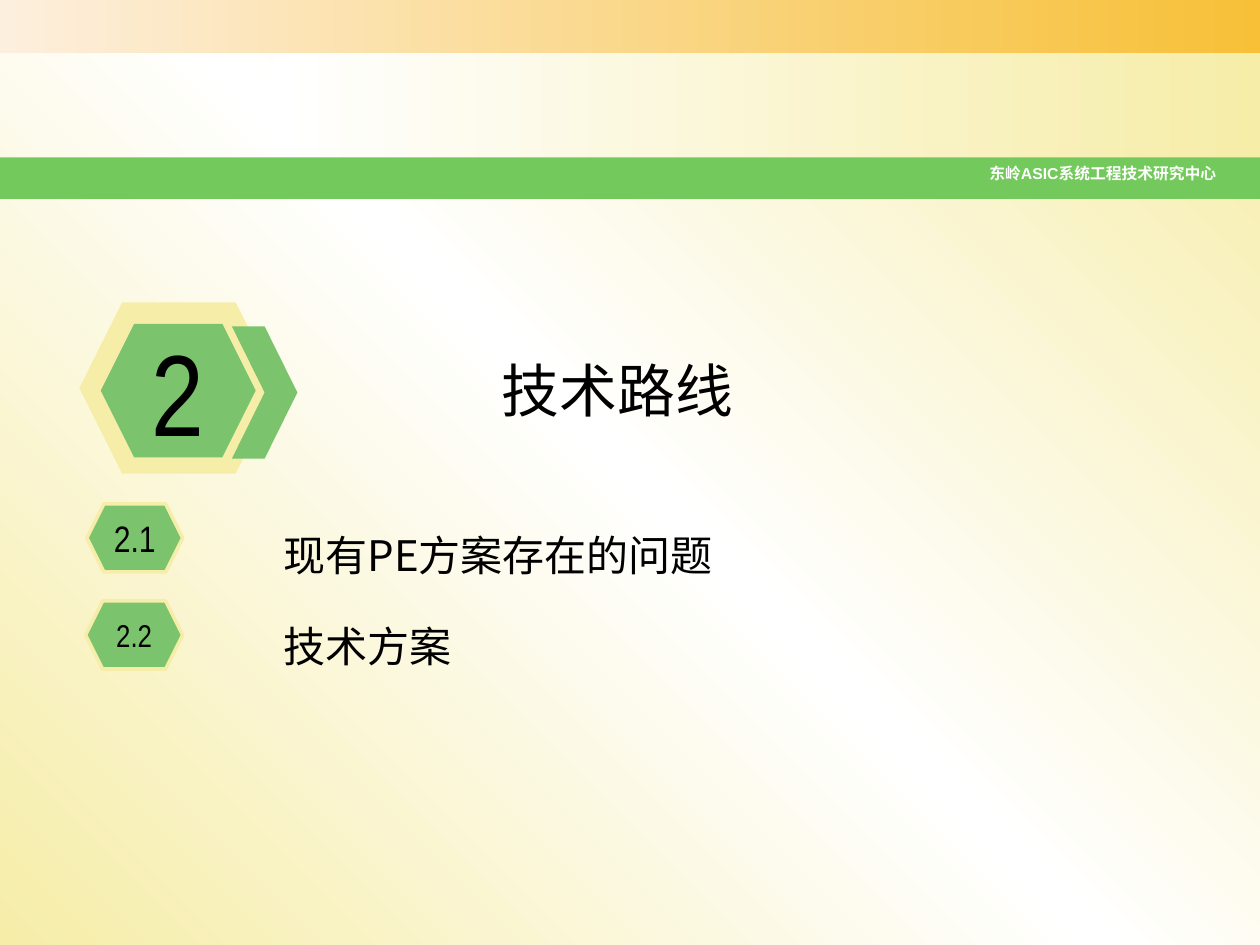
"""Build the section slide for the technical route."""
from copy import deepcopy
from pptx import Presentation
from pptx.dml.color import RGBColor
from pptx.enum import shapes, text
from pptx.oxml.ns import qn
from pptx.util import Inches, Pt

HUE = {"cream": "F6EDA8", "white": "FFFFFF", "peach": "FDEFDD", "gold": "F7C037",
       "band": "73C95B", "leaf": "7BC46D", "ink": "000000"}
CJK, SLIM = "Noto Sans CJK SC", "Arial Narrow"
KIND = shapes.MSO_SHAPE
ORG = "东岭ASIC系统工程技术研究中心"
HEAD = "技术路线"
ITEMS = ["现有PE方案存在的问题", "技术方案"]
BANDS = [((0, 0, 10, 0.42), ["peach", "gold"]),
         ((2.17, 0.42, 7.83, 0.83), ["white", "cream"]),
         ((0, 1.25, 10, 0.33), ["band"])]
BADGES = [(KIND.HEXAGON, (0.63, 2.4, 1.58, 1.36), "cream", "", 0, 0),
          (KIND.HEXAGON, (0.8, 2.57, 1.23, 1.06), "leaf", "2", 66, 0),
          (KIND.HEXAGON, (0.69, 4, 0.76, 0.54), "leaf", "2.1", 21, 2),
          (KIND.HEXAGON, (0.68, 4.77, 0.77, 0.54), "leaf", "2.2", 18, 2),
          (KIND.CHEVRON, (1.84, 2.59, 0.52, 1.05), "leaf", "", 0, 0)]


def rgb(name):
    return RGBColor.from_string(HUE[name])


def paint(fill, names, angle=0):
    if len(names) == 1:
        fill.solid()
        fill.fore_color.rgb = rgb(names[0])
        return
    fill.gradient()
    fill.gradient_angle = angle
    for _ in names[2:]:
        last = fill.gradient_stops[-1]._gs
        last.addnext(deepcopy(last))
    for i, (stop, name) in enumerate(zip(fill.gradient_stops, names)):
        stop.position = i / (len(names) - 1)
        stop.color.rgb = rgb(name)


def put(shape, box):
    shape.left, shape.top, shape.width, shape.height = map(Inches, box)


def draw(slide, kind, box, names, line=0):
    shape = slide.shapes.add_shape(kind, *map(Inches, box))
    shape.shadow.inherit = False
    paint(shape.fill, names)
    if line:
        shape.line.color.rgb = rgb("cream")
        shape.line.width = Pt(line)
    else:
        shape.line.fill.background()
    return shape


def write(shape, *lines, size=18, font=CJK, color="ink", bold=False, align="LEFT",
          anchor="TOP", wrap=True, space=None, before=0):
    frame = shape.text_frame
    frame.word_wrap = wrap
    frame.auto_size = text.MSO_AUTO_SIZE.NONE
    frame.vertical_anchor = getattr(text.MSO_ANCHOR, anchor)
    frame.text = "\n".join(lines)
    for para in frame.paragraphs:
        para.alignment = getattr(text.PP_ALIGN, align)
        para.line_spacing = space
        para.space_before = Pt(before)
        props = para._p.get_or_add_pPr()
        props.set("marL", "0")
        props.set("indent", "0")
        props.append(props.makeelement(qn("a:buNone"), {}))
        face = para.runs[0].font
        face.size, face.name, face.bold = Pt(size), font, bold
        face.color.rgb = rgb(color)
        east = face._element.makeelement(qn("a:ea"), {"typeface": CJK})
        face._element.find(qn("a:latin")).addnext(east)


def main():
    deck = Presentation()
    deck.slide_width, deck.slide_height = Inches(10), Inches(7.5)
    slide = deck.slides.add_slide(deck.slide_layouts[1])
    paint(slide.background.fill, ["cream", "white", "cream"], 45)
    for box, names in BANDS:
        draw(slide, KIND.RECTANGLE, box, names)
    org = slide.shapes.add_textbox(*map(Inches, (0.5, 1.25, 9.25, 0.26)))
    write(org, ORG, size=9, font="Arial", color="white", bold=True, align="RIGHT")
    for kind, box, name, label, size, line in BADGES:
        badge = draw(slide, kind, box, [name], line)
        if label:
            write(badge, label, size=size, font=SLIM, align="CENTER",
                  anchor="MIDDLE", wrap=False)
    title, body = slide.placeholders
    put(title, (2.69, 2.76, 4.42, 0.66))
    write(title, HEAD, size=33, align="CENTER", anchor="MIDDLE")
    put(body, (2.15, 3.95, 5, 1.44))
    write(body, *ITEMS, size=24, space=1.5, before=9)
    deck.save("out.pptx")


if __name__ == "__main__":
    main()
